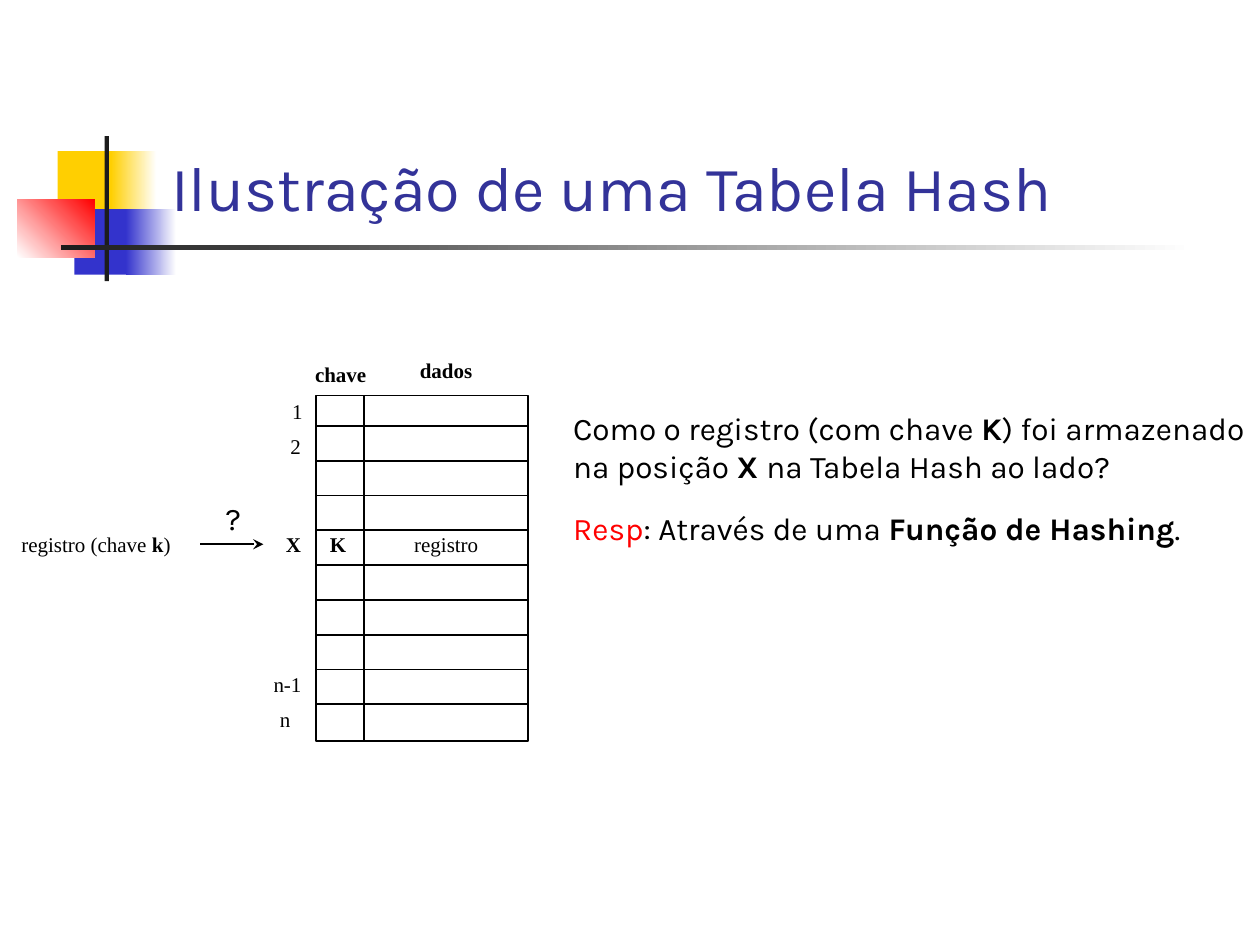
import pptx
import pptx.dml.color
import pptx.enum.shapes
import pptx.enum.text
import pptx.oxml
import pptx.oxml.ns
import pptx.util

Pt = pptx.util.Pt
ALIGN = pptx.enum.text.PP_ALIGN
ANCHOR = pptx.enum.text.MSO_ANCHOR

COLORS = {
    "yellow": "FFCF01", "blue": "3333CC", "red": "FF0000", "dark": "1C1C1C",
    "white": "FFFFFF", "title": "333399", "black": "000000",
}
SMALL = {"name": "Times New Roman", "size": Pt(12)}
BODY = {"name": "Karla", "size": Pt(18)}
TITLE = {"name": "Karla", "size": Pt(36)}
BOLD = {"bold": True}

# Hash table frame
LEFT, TOP, RIGHT, BOTTOM = 180.7, 226.1, 301.7, 423.4
DIVIDER = 208.2
FIRST_RULE, ROW_STEP, RULE_COUNT = 243.4, 19.88, 9


def color(name):
    return pptx.dml.color.RGBColor.from_string(COLORS[name])


def add_rectangle(slide, box, colors=(), angle=0, outline=None):
    """No colour leaves it hollow, one fills it, two make a gradient."""
    shape = slide.shapes.add_shape(
        pptx.enum.shapes.MSO_SHAPE.RECTANGLE, *map(Pt, box))
    shape.shadow.inherit = False
    if len(colors) == 2:
        shape.fill.gradient()
        shape.fill.gradient_angle = angle
        for stop, name in zip(shape.fill.gradient_stops, colors):
            stop.color.rgb = color(name)
    elif colors:
        shape.fill.solid()
        shape.fill.fore_color.rgb = color(colors[0])
    else:
        shape.fill.background()
    if outline:
        shape.line.color.rgb = color(outline)
        shape.line.width = Pt(1)
    else:
        shape.line.fill.background()


def add_line(slide, start, end, arrow=False):
    line = slide.shapes.add_connector(
        pptx.enum.shapes.MSO_CONNECTOR.STRAIGHT, *map(Pt, start + end))
    line.line.color.rgb = color("black")
    line.line.width = Pt(1)
    if arrow:
        head = pptx.oxml.parse_xml(
            f'<a:tailEnd {pptx.oxml.ns.nsdecls("a")} type="stealth"/>')
        line.line._get_or_add_ln().append(head)
    line._element.spPr.append(pptx.oxml.parse_xml(
        f'<a:effectLst {pptx.oxml.ns.nsdecls("a")}/>'))


def add_text(slide, box, runs, font, wrap=False, insets=(0, 0),
             align=ALIGN.LEFT, anchor=ANCHOR.TOP):
    """Each run is (text, format values); "color" names an entry of COLORS."""
    frame = slide.shapes.add_textbox(*map(Pt, box)).text_frame
    side, edge = map(Pt, insets)
    frame_format = {
        "word_wrap": wrap, "vertical_anchor": anchor,
        "margin_left": side, "margin_right": side,
        "margin_top": edge, "margin_bottom": edge,
    }
    for key, value in frame_format.items():
        setattr(frame, key, value)
    paragraph = frame.paragraphs[0]
    paragraph.alignment = align
    for text, changes in runs:
        run = paragraph.add_run()
        run.text = text
        values = {"bold": False, "color": "black", **font, **changes}
        run.font.color.rgb = color(values.pop("color"))
        for key, value in values.items():
            setattr(run.font, key, value)


def add_header(slide):
    add_rectangle(slide, (33, 86.4, 34.6, 37.4), ["yellow"])
    add_rectangle(slide, (63.4, 86.4, 26, 37.4), ["yellow", "white"])
    add_rectangle(slide, (42.5, 119.5, 33.1, 37.4), ["blue"])
    add_rectangle(slide, (72, 119.5, 28.8, 37.4), ["blue", "white"])
    add_rectangle(slide, (10, 113.8, 44, 33.1), ["white", "red"], angle=45)
    add_rectangle(slide, (59.8, 77.8, 2.4, 82.8), ["dark"])
    add_rectangle(slide, (34.6, 140.2, 648, 2.4), ["dark", "white"])
    add_text(slide, (90.7, 16.6, 613.4, 115.2),
             [("Ilustração de uma Tabela Hash", {"color": "title"})], TITLE,
             wrap=True, insets=(7.2, 3.6), anchor=ANCHOR.BOTTOM)


def add_hash_table(slide):
    add_rectangle(slide, (LEFT, TOP, RIGHT - LEFT, BOTTOM - TOP), outline="black")
    for index in range(RULE_COUNT):
        y = FIRST_RULE + index * ROW_STEP
        add_line(slide, (LEFT, y), (RIGHT, y))
    add_line(slide, (DIVIDER, TOP), (DIVIDER, BOTTOM))

    labels = [
        ("chave", 180, 206.6, 29.5, BOLD),
        ("1", 167, 227.5, 6, {}),
        ("2", 166, 247.7, 6, {}),
        ("X", 163.4, 303.8, 8.7, BOLD),
        ("n-1", 156.3, 383.8, 16, {}),
        ("n", 160, 403.9, 6, {}),
        ("K", 188.6, 303.8, 9.4, BOLD),
        ("registro", 236.7, 303.8, 36.7, {}),
    ]
    for text, left, top, width, changes in labels:
        add_text(slide, (left, top, width, 14.4), [(text, changes)], SMALL)
    add_text(slide, (212.4, 204.5, 85, 14.4), [("dados", BOLD)], SMALL,
             wrap=True, align=ALIGN.CENTER)


def add_incoming_record(slide):
    add_text(slide, (12.2, 303.8, 85.7, 14.4),
             [("registro (chave ", {}), ("k", BOLD), (")", {})], SMALL)
    add_line(slide, (114.5, 311), (150.5, 311), arrow=True)
    add_text(slide, (121.7, 281.5, 22.3, 28.8), [("?", {})], BODY,
             insets=(7.2, 3.6))


def add_explanation(slide):
    question = [
        ("Como o registro (com chave ", {}), ("K", BOLD),
        (") foi armazenado na posição ", {}), ("X ", BOLD),
        ("na Tabela Hash ao lado?", {}),
    ]
    answer = [
        ("Resp", {"color": "red"}), (": Através de uma ", {}),
        ("Função de Hashing", BOLD), (".", {}),
    ]
    for box, runs in (((320.4, 230.4, 402.5, 72), question),
                      ((320.4, 287.3, 386, 28.8), answer)):
        add_text(slide, box, runs, BODY, wrap=True, insets=(7.2, 3.6))


def main():
    presentation = pptx.Presentation()
    presentation.slide_width, presentation.slide_height = Pt(720), Pt(540)
    slide = presentation.slides.add_slide(presentation.slide_layouts[6])
    add_header(slide)
    add_hash_table(slide)
    add_incoming_record(slide)
    add_explanation(slide)
    presentation.save("out.pptx")


if __name__ == "__main__":
    main()
